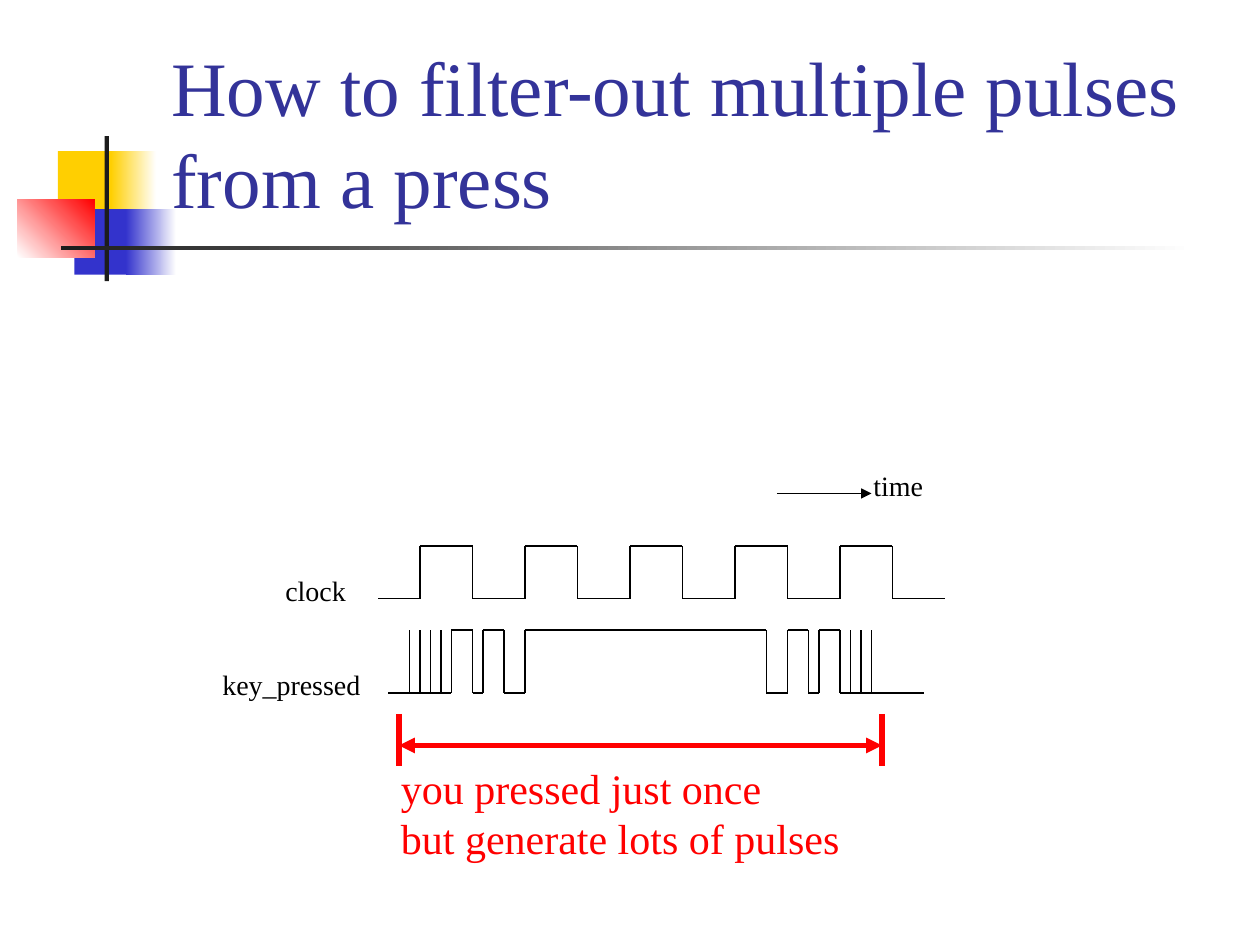
from lxml import etree
from pptx import Presentation
from pptx.dml.color import RGBColor
from pptx.enum.shapes import MSO_CONNECTOR, MSO_SHAPE
from pptx.enum.text import MSO_ANCHOR, MSO_AUTO_SIZE, PP_ALIGN
from pptx.oxml.ns import qn
from pptx.util import Pt

RECTANGLE = MSO_SHAPE.RECTANGLE
STRAIGHT = MSO_CONNECTOR.STRAIGHT
FONT = "Times New Roman"
COLORS = {
    "white": "FFFFFF", "black": "000000", "ink": "1C1C1C", "title": "333399",
    "yellow": "FFCF01", "blue": "3333CC", "red": "FF0000",
}

TITLE = "How to filter-out multiple pulses from a press"

# left, top, width, height, fill colours (two make a gradient), gradient angle
DECORATION = [
    (33.1, 86.4, 34.6, 37.4, ["yellow"], 0),
    (63.4, 86.4, 25.9, 37.4, ["yellow", "white"], 0),
    (42.5, 119.5, 33.1, 37.4, ["blue"], 0),
    (72, 119.5, 28.8, 37.4, ["blue", "white"], 0),
    (10, 113.8, 43.9, 33.1, ["white", "red"], 45),
    (59.8, 77.8, 2.4, 82.8, ["ink"], 0),
    (34.6, 140.4, 648, 2.4, ["ink", "white"], 0),
]

# Each signal starts low and changes level at every toggle
SIGNALS = [
    {"start": 216, "end": 540, "high": 312, "low": 342,
     "toggles": list(range(240, 511, 30)), "spikes": []},
    {"start": 222, "end": 528, "high": 360, "low": 396,
     "toggles": [258, 270, 276, 288, 300, 438, 450, 462, 468, 480],
     "spikes": [234, 240, 246, 252, 486, 492, 498]},
]

# left, top, width, height, lines, size, colour
LABELS = [
    (492, 264, 43.2, 26.6, ["time"], 16, "black"),
    (156, 324, 49, 26.6, ["clock"], 16, "black"),
    (120, 378, 93.6, 26.6, ["key_pressed"], 16, "black"),
    (222, 432, 265, 64.8,
     ["you pressed just once", "but generate lots of pulses"], 24, "red"),
]

TIME_ARROW = (444, 282, 498, 282)
PRESS_START, PRESS_END = 228, 504
PRESS_TOP, PRESS_ARROW_Y, PRESS_BOTTOM = 408, 426, 438


def rgb(name):
    return RGBColor.from_string(COLORS[name])


def style_font(paragraph, size, color):
    paragraph.font.name = FONT
    paragraph.font.size = Pt(size)
    paragraph.font.color.rgb = rgb(color)


def add_block(slide, left, top, width, height, colors, angle):
    block = slide.shapes.add_shape(RECTANGLE, Pt(left), Pt(top), Pt(width), Pt(height))
    block.shadow.inherit = False
    block.line.fill.background()
    if len(colors) == 1:
        block.fill.solid()
        block.fill.fore_color.rgb = rgb(colors[0])
        return
    block.fill.gradient()
    block.fill.gradient_angle = angle
    for stop, color, position in zip(block.fill.gradient_stops, colors, (0, 1)):
        stop.color.rgb = rgb(color)
        stop.position = position


def add_line(slide, x1, y1, x2, y2, color="black", width=0.75, arrows=()):
    line = slide.shapes.add_connector(STRAIGHT, Pt(x1), Pt(y1), Pt(x2), Pt(y2))
    line.line.color.rgb = rgb(color)
    line.line.width = Pt(width)
    for end in arrows:
        etree.SubElement(line.line._get_or_add_ln(), qn(f"a:{end}"), type="triangle")
    etree.SubElement(line.element.spPr, qn("a:effectLst"))


def add_signal(slide, start, end, high, low, toggles, spikes):
    x, y = start, low
    for toggle in toggles:
        add_line(slide, x, y, toggle, y)
        next_y = high if y == low else low
        add_line(slide, toggle, y, toggle, next_y)
        x, y = toggle, next_y
    add_line(slide, x, y, end, y)
    for spike in spikes:
        add_line(slide, spike, low, spike, high)


def add_label(slide, left, top, width, height, lines, size, color):
    label = slide.shapes.add_textbox(Pt(left), Pt(top), Pt(width), Pt(height))
    frame = label.text_frame
    frame.word_wrap = False
    frame.auto_size = MSO_AUTO_SIZE.SHAPE_TO_FIT_TEXT
    frame.text = "\n".join(lines)
    for paragraph in frame.paragraphs:
        style_font(paragraph, size, color)


def main():
    prs = Presentation()
    prs.slide_width, prs.slide_height = Pt(720), Pt(540)
    slide = prs.slides.add_slide(prs.slide_layouts[5])

    # Decoration behind the title
    for block in DECORATION:
        add_block(slide, *block)

    # Title, brought in front of the decoration
    title = slide.shapes.title
    title.left, title.top, title.width, title.height = Pt(90.7), Pt(16.6), Pt(613.4), Pt(115.2)
    title.text_frame.text = TITLE
    title.text_frame.auto_size = MSO_AUTO_SIZE.NONE
    title.text_frame.vertical_anchor = MSO_ANCHOR.BOTTOM
    heading = title.text_frame.paragraphs[0]
    heading.alignment = PP_ALIGN.LEFT
    style_font(heading, 44, "title")
    title.element.getparent().append(title.element)

    # Timing diagram
    add_line(slide, *TIME_ARROW, arrows=["tailEnd"])
    for signal in SIGNALS:
        add_signal(slide, **signal)

    # Span of the key press
    for x in (PRESS_START, PRESS_END):
        add_line(slide, x, PRESS_TOP, x, PRESS_BOTTOM, "red", 3)
    add_line(slide, PRESS_START, PRESS_ARROW_Y, PRESS_END, PRESS_ARROW_Y,
             "red", 3, ["headEnd", "tailEnd"])

    for label in LABELS:
        add_label(slide, *label)

    prs.save("out.pptx")


if __name__ == "__main__":
    main()
